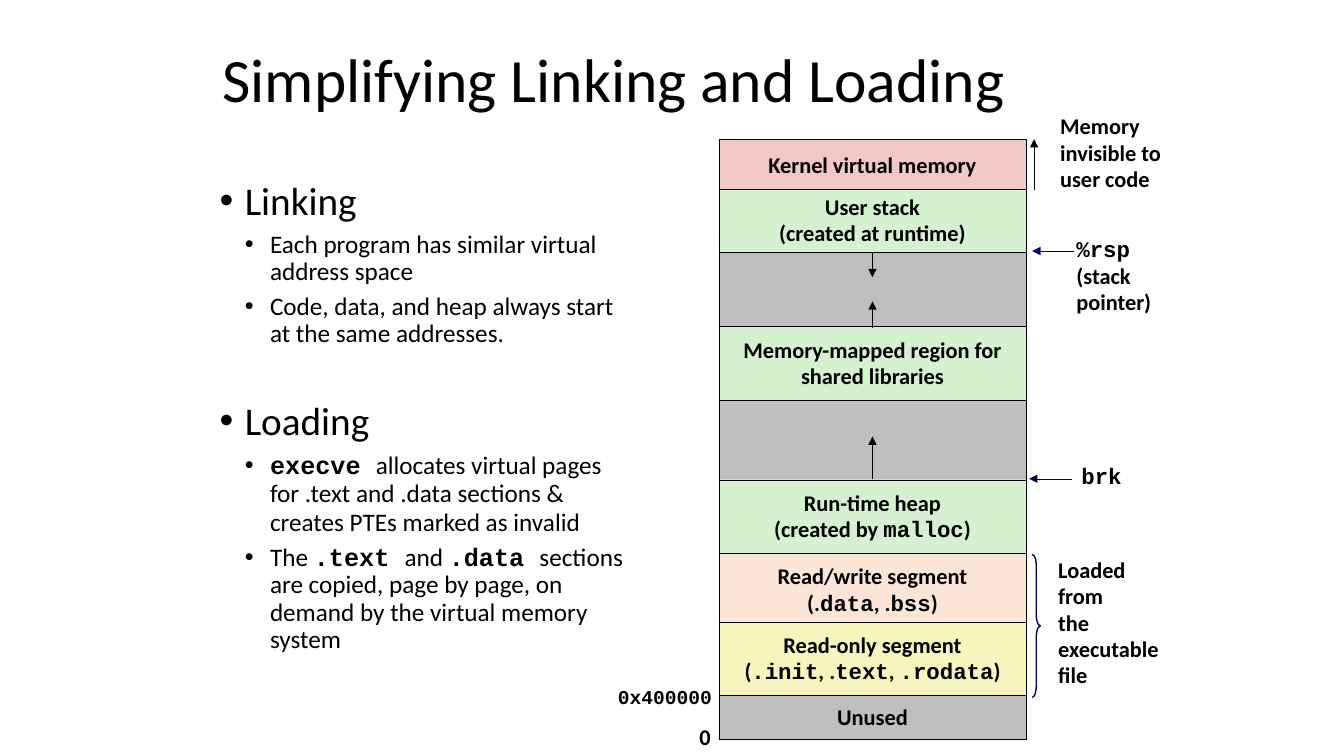
from dataclasses import dataclass

from lxml.etree import SubElement
from pptx import Presentation
from pptx.dml.color import RGBColor
from pptx.enum.shapes import MSO_CONNECTOR, MSO_SHAPE
from pptx.enum.text import MSO_ANCHOR, MSO_AUTO_SIZE, PP_ALIGN
from pptx.oxml.ns import qn
from pptx.util import Pt

TITLE = "Simplifying Linking and Loading"
TITLE_BOX = (151.9, 28.1, 652.3, 61.9)
TOPICS_BOX = (149.8, 126, 311.8, 376.6)

# Text between backticks is set in the code font.
TOPICS = [
    ("Linking", 12.5, [
        "Each program has similar virtual address space",
        "Code, data, and heap always start at the same addresses.",
    ]),
    ("Loading", 38, [
        "`execve `allocates virtual pages for .text and .data sections & "
        "creates PTEs marked as invalid",
        "The `.text `and `.data `sections are copied, page by page, on "
        "demand by the virtual memory system",
    ]),
]

REGIONS = [
    (99.4, 38.2, "kernel", ["Kernel virtual memory"]),
    (162, 71.3, "unused", []),
    (135.4, 44.6, "shared", ["User stack", "(created at runtime)"]),
    (233.3, 52.5, "shared", ["Memory-mapped region for", "shared libraries"]),
    (285.8, 56.9, "unused", []),
    (342.7, 52.6, "shared", ["Run-time heap", "(created by `malloc`)"]),
    (395.3, 52.6, "writable", ["Read/write segment", "(.`data`, .`bss`)"]),
    (444.2, 52.6, "readonly",
     ["Read-only segment", "(`.init`, .`text`, `.rodata`)"]),
    (496.8, 31, "unused", ["Unused"]),
]
STACK_LEFT, STACK_WIDTH = 513.4, 219.6

LABELS = [
    (750.2, 77.8, 90.7, 64.1, 16, ["Memory", "invisible to", "user code"]),
    (761.8, 166.3, 68.4, 63.4, 16, ["`%rsp`", "(stack", "pointer)"]),
    (765.4, 328.3, 43.2, 25.9, 16, ["`brk`"]),
    (748.8, 394.6, 90.7, 102.2, 16,
     ["Loaded", "from", "the", "executable", "file"]),
    (434.2, 487.4, 82.1, 23.8, 14, ["`0x400000`"]),
    (492.5, 514.1, 22.3, 26.6, 16, ["0"]),
]

GROWTH_X = STACK_LEFT + STACK_WIDTH / 2
ARROWS = [
    (GROWTH_X, 180, GROWTH_X, 198, "ink"),
    (GROWTH_X, 234, GROWTH_X, 215.3, "ink"),
    (GROWTH_X, 342, GROWTH_X, 311.8, "ink"),
    (738.7, 135.4, 738.7, 99.4, "ink"),
    (767.5, 179.3, 737.3, 179.3, "pointer"),
    (765.4, 342, 735.1, 342, "pointer"),
]
BRACE = (737.3, 396, 5.8, 102.2)


@dataclass(frozen=True)
class Theme:
    body_font: str = "Calibri"
    code_font: str = "Courier New"
    title: float = 44
    topic: float = 28
    detail: float = 18
    region: float = 16
    ink: str = "000000"
    pointer: str = "000066"
    kernel: str = "F1C7C7"
    shared: str = "D5F1CF"
    unused: str = "BFBFBF"
    writable: str = "FBE5D6"
    readonly: str = "F6F5BD"

    def color(self, role):
        return RGBColor.from_string(getattr(self, role))


THEME = Theme()


def points(values):
    return [Pt(value) for value in values]


def write(paragraph, text, size, bold, spacing):
    paragraph.line_spacing = 0.94 if text.startswith("`") else spacing
    for index, part in enumerate(text.split("`")):
        if part:
            is_code = index % 2 == 1
            run = paragraph.add_run()
            run.text = part
            run.font.size = Pt(size)
            run.font.bold = bold or is_code
            run.font.name = THEME.code_font if is_code else THEME.body_font
            run.font.color.rgb = THEME.color("ink")


def next_paragraph(frame):
    first = frame.paragraphs[0]
    return frame.add_paragraph() if first.runs else first


def write_bold_lines(frame, lines, size, align):
    frame.word_wrap = False
    for line in lines:
        paragraph = next_paragraph(frame)
        paragraph.alignment = align
        write(paragraph, line, size, True, 0.98)


def add_bullet(frame, text, size, indent, space_before):
    paragraph = next_paragraph(frame)
    paragraph.space_before = Pt(space_before)
    properties = paragraph._p.get_or_add_pPr()
    properties.set("marL", str(Pt(indent)))
    properties.set("indent", str(Pt(-18)))
    write(paragraph, text, size, False, 0.9)
    SubElement(properties, qn("a:buFont"), typeface="Arial")
    SubElement(properties, qn("a:buChar"), char="•")


def add_title(shapes):
    frame = shapes.add_textbox(*points(TITLE_BOX)).text_frame
    frame.word_wrap = True
    frame.vertical_anchor = MSO_ANCHOR.MIDDLE
    write(frame.paragraphs[0], TITLE, THEME.title, False, 0.9)


def add_topics(shapes):
    frame = shapes.add_textbox(*points(TOPICS_BOX)).text_frame
    frame.word_wrap = True
    for topic, space_before, details in TOPICS:
        add_bullet(frame, topic, THEME.topic, 18, space_before)
        for detail in details:
            add_bullet(frame, detail, THEME.detail, 36, 5.6)


def add_region(shapes, top, height, role, lines):
    region = shapes.add_shape(
        MSO_SHAPE.RECTANGLE, *points((STACK_LEFT, top, STACK_WIDTH, height)))
    region.shadow.inherit = False
    region.fill.solid()
    region.fill.fore_color.rgb = THEME.color(role)
    region.line.color.rgb = THEME.color("ink")
    region.line.width = Pt(0.25)
    region.text_frame.vertical_anchor = MSO_ANCHOR.MIDDLE
    write_bold_lines(region.text_frame, lines, THEME.region, PP_ALIGN.CENTER)


def add_label(shapes, left, top, width, height, size, lines):
    frame = shapes.add_textbox(*points((left, top, width, height))).text_frame
    frame.auto_size = MSO_AUTO_SIZE.SHAPE_TO_FIT_TEXT
    write_bold_lines(frame, lines, size, PP_ALIGN.LEFT)


def add_arrow(shapes, start_x, start_y, end_x, end_y, role):
    arrow = shapes.add_connector(
        MSO_CONNECTOR.STRAIGHT, *points((start_x, start_y, end_x, end_y)))
    arrow.line.color.rgb = THEME.color(role)
    arrow.line.width = Pt(0.25)
    SubElement(arrow.line._get_or_add_ln(), qn("a:tailEnd"), type="triangle")
    SubElement(arrow._element.spPr, qn("a:effectLst"))


def add_brace(shapes):
    brace = shapes.add_shape(MSO_SHAPE.RIGHT_BRACE, *points(BRACE))
    brace.shadow.inherit = False
    brace.adjustments[0] = 1.42
    brace.fill.background()
    brace.line.color.rgb = THEME.color("pointer")
    brace.line.width = Pt(1)


def main():
    deck = Presentation()
    deck.slide_width, deck.slide_height = Pt(960), Pt(540)
    shapes = deck.slides.add_slide(deck.slide_layouts[6]).shapes
    add_title(shapes)
    add_topics(shapes)
    for region in REGIONS:
        add_region(shapes, *region)
    for arrow in ARROWS:
        add_arrow(shapes, *arrow)
    for label in LABELS:
        add_label(shapes, *label)
    add_brace(shapes)
    deck.save("out.pptx")


if __name__ == "__main__":
    main()
